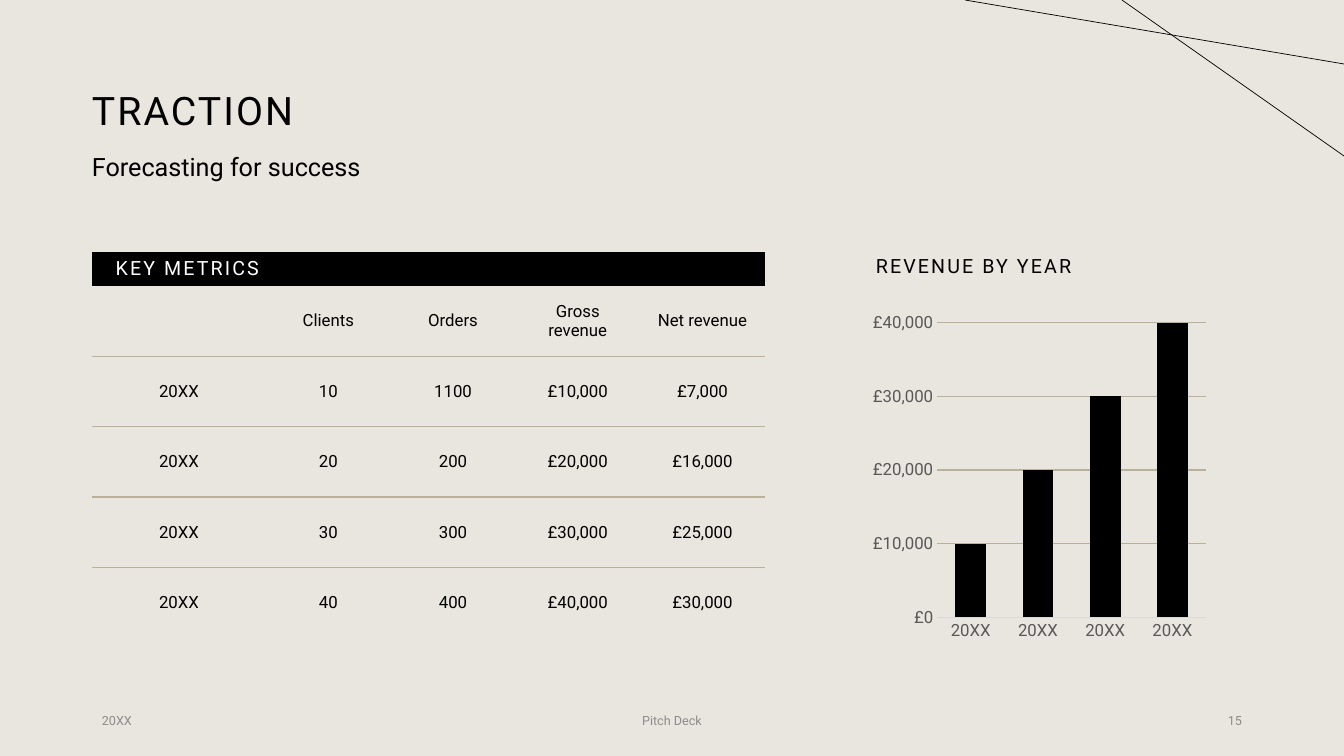
from lxml.etree import SubElement
from pptx import Presentation
from pptx.chart.data import CategoryChartData
from pptx.dml.color import RGBColor
from pptx.enum.chart import XL_CHART_TYPE, XL_TICK_MARK
from pptx.enum.shapes import MSO_CONNECTOR
from pptx.enum.text import MSO_ANCHOR, PP_ALIGN
from pptx.oxml import parse_xml
from pptx.oxml.ns import nsdecls, qn
from pptx.util import Emu, Pt

FONT = "Roboto"
BLACK = "000000"
WHITE = "FFFFFF"
PAPER = "E9E6DF"
SAND = "BBB19B"
FOOTER_GRAY = "8C8C8C"
AXIS_GRAY = "595959"
AXIS_LINE = "D9D9D9"
NO_STYLE = "{2D5ABB26-0587-4C30-8999-92F81FD0307C}"

YEARS = ["20XX"] * 4
REVENUE = [10000, 20000, 30000, 40000]
METRICS = [
    ["KEY METRICS", "", "", "", ""],
    ["", "Clients", "Orders", "Gross revenue", "Net revenue"],
    ["20XX", "10", "1100", "£10,000", "£7,000"],
    ["20XX", "20", "200", "£20,000", "£16,000"],
    ["20XX", "30", "300", "£30,000", "£25,000"],
    ["20XX", "40", "400", "£40,000", "£30,000"],
]


def px(length):
    return Emu(round(length * 914400 / 100.8))


def color(value):
    return RGBColor.from_string(value)


def style_font(font, size, value):
    font.name = FONT
    font.size = Pt(size)
    font.color.rgb = color(value)


def style_paragraph(paragraph, size, value, align=PP_ALIGN.LEFT, spacing=0):
    paragraph.alignment = align
    for run in paragraph.runs:
        style_font(run.font, size, value)
        if spacing:
            run.font._element.set("spc", str(spacing))


def add_text(slide, box, text, size, value=BLACK, align=PP_ALIGN.LEFT,
             spacing=0, anchor=MSO_ANCHOR.TOP, line_spacing=0.9):
    shape = slide.shapes.add_textbox(*map(px, box))
    text_frame = shape.text_frame
    text_frame.word_wrap = True
    text_frame.vertical_anchor = anchor
    text_frame.text = text
    paragraph = text_frame.paragraphs[0]
    paragraph.line_spacing = line_spacing
    style_paragraph(paragraph, size, value, align, spacing)
    return shape


def add_heading(slide, box):
    left, top, width, height = box
    title = add_text(slide, (left, top, width, 146), "TRACTION", 28,
                     spacing=150, anchor=MSO_ANCHOR.MIDDLE)
    title.text_frame.margin_left = 0
    add_text(slide, (left - 10, top + 110, 746, height - 110),
             "Forecasting for success", 18)


def add_bottom_border(cell, value):
    border = parse_xml(
        f'<a:lnB {nsdecls("a")} w="12700"><a:solidFill>'
        f'<a:srgbClr val="{value}"/></a:solidFill></a:lnB>')
    cell._tc.get_or_add_tcPr().insert(0, border)


def add_metrics_table(slide, box):
    width, height = box[2:]
    header_height, year_width = 34, 174
    row_count, column_count = len(METRICS), len(METRICS[0])
    frame = slide.shapes.add_table(row_count, column_count, *map(px, box))
    table = frame.table
    table.first_row = table.horz_banding = False
    table._tbl.tblPr.find(qn("a:tableStyleId")).text = NO_STYLE
    for index, column in enumerate(table.columns):
        column.width = px((width - year_width) / (column_count - 1) if index else year_width)
    for index, row in enumerate(table.rows):
        row.height = px((height - header_height) / (row_count - 1) if index else header_height)
        for cell, text in zip(row.cells, METRICS[index]):
            cell.text = text
            cell.vertical_anchor = MSO_ANCHOR.MIDDLE
            paragraph = cell.text_frame.paragraphs[0]
            if index == 0:
                cell.margin_top = cell.margin_bottom = 0
                cell.margin_right = px(7)
                cell.fill.solid()
                cell.fill.fore_color.rgb = color(BLACK)
                style_paragraph(paragraph, 14, WHITE, PP_ALIGN.RIGHT, 150)
            else:
                cell.fill.background()
                style_paragraph(paragraph, 12, BLACK, PP_ALIGN.CENTER)
                if index < row_count - 1:
                    add_bottom_border(cell, SAND)


def add_revenue_chart(slide, box):
    left, top, width, height = box
    add_text(slide, (left, top, width, 34), "REVENUE BY YEAR", 14, spacing=150)
    data = CategoryChartData(number_format='"£"#,##0')
    data.categories = YEARS
    data.add_series("Series 1", REVENUE)
    chart_box = (left, top + 54, width, height - 54)
    chart = slide.shapes.add_chart(
        XL_CHART_TYPE.COLUMN_CLUSTERED, *map(px, chart_box), data).chart
    chart.has_title = False
    chart.has_legend = False
    style_font(chart.font, 10, BLACK)
    plot = chart.plots[0]
    plot.gap_width = 118
    plot.overlap = -3
    plot.vary_by_categories = False
    bars = plot.series[0].format.fill
    bars.solid()
    bars.fore_color.rgb = color(BLACK)
    for axis in (chart.category_axis, chart.value_axis):
        axis.major_tick_mark = axis.minor_tick_mark = XL_TICK_MARK.NONE
        style_font(axis.tick_labels.font, 12, AXIS_GRAY)
    category_line = chart.category_axis.format.line
    category_line.color.rgb = color(AXIS_LINE)
    category_line.width = Pt(0.75)
    value_axis = chart.value_axis
    value_axis.minimum_scale = 0
    value_axis.maximum_scale = 40000
    value_axis.major_unit = 10000
    value_axis.format.line.fill.background()
    value_axis.tick_labels.number_format = '"£"#,##0'
    value_axis.tick_labels.number_format_is_linked = False
    grid_line = value_axis.major_gridlines.format.line
    grid_line.color.rgb = color(SAND)
    grid_line.width = Pt(0.75)


def add_footer(slide, box):
    left, top, width, height = box
    side, middle = 302, 454
    parts = [
        ("20XX", left, side, PP_ALIGN.LEFT),
        ("Pitch Deck", left + (width - middle) / 2, middle, PP_ALIGN.CENTER),
        ("15", left + width - side, side, PP_ALIGN.RIGHT),
    ]
    for text, part_left, part_width, align in parts:
        add_text(slide, (part_left, top, part_width, height), text, 9, FOOTER_GRAY,
                 align, anchor=MSO_ANCHOR.MIDDLE, line_spacing=1)


def add_corner_lines(slide, box):
    left, top, width, height = box
    right = left + width
    for start, drop in ((left + 157, height), (left, 64)):
        line = slide.shapes.add_connector(
            MSO_CONNECTOR.STRAIGHT, *map(px, (start, top, right, top + drop)))
        line.line.color.rgb = color(BLACK)
        line.line.width = Pt(0.5)
        SubElement(line._element.spPr, qn("a:effectLst"))


def main():
    presentation = Presentation()
    presentation.slide_width = px(1344)
    presentation.slide_height = px(756)
    slide = presentation.slides.add_slide(presentation.slide_layouts[6])
    background = slide.background.fill
    background.solid()
    background.fore_color.rgb = color(PAPER)
    add_heading(slide, (92, 40, 1160, 164))
    add_metrics_table(slide, (92, 252, 673, 386))
    add_revenue_chart(slide, (866, 252, 347, 396))
    add_footer(slide, (92, 700, 1160, 41))
    add_corner_lines(slide, (965, 0, 379, 156))
    presentation.save("out.pptx")


if __name__ == "__main__":
    main()
